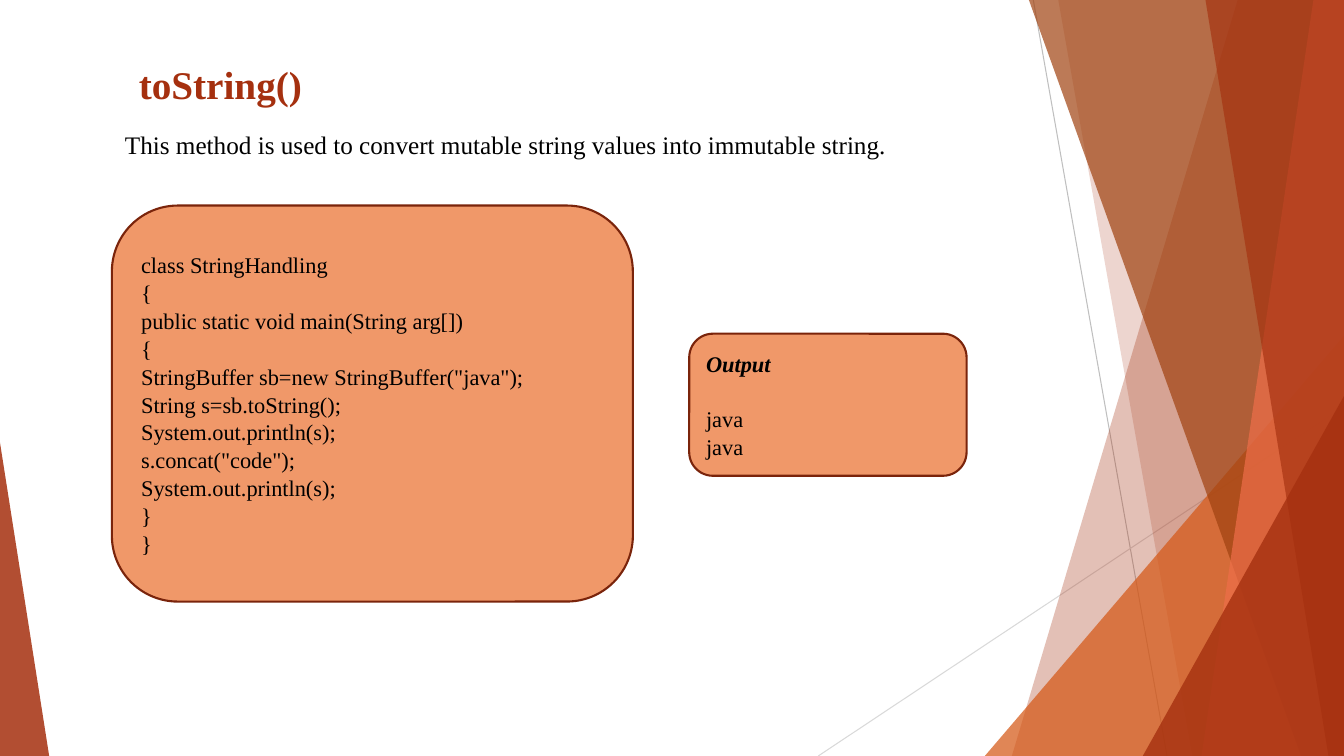
from lxml import etree
from pptx import Presentation
from pptx import util as u
from pptx.dml.color import RGBColor
from pptx.enum import shapes, text
from pptx.oxml import ns

WIDTH, HEIGHT = 33.87, 19.05
BLACK = RGBColor(0x00, 0x00, 0x00)
RUST = RGBColor(0xA5, 0x30, 0x0F)
DARK_RUST = RGBColor(0x7A, 0x24, 0x0B)
ORANGE = RGBColor(0xD5, 0x58, 0x16)
BROWN = RGBColor(0xA0, 0x42, 0x10)
CORAL = RGBColor(0xEE, 0x6E, 0x4A)
PEACH = RGBColor(0xF0, 0x98, 0x69)
GREY = RGBColor(0xBF, 0xBF, 0xBF)
LIGHT_GREY = RGBColor(0xD9, 0xD9, 0xD9)

TITLE = {"size": u.Pt(28), "bold": True}
BODY = {"size": u.Pt(18)}
CODE = {"size": u.Pt(16)}
HEADING = {"size": u.Pt(16), "bold": True, "italic": True}

PROGRAM = """class StringHandling
{
public static void main(String arg[])
{
StringBuffer sb=new StringBuffer("java");
String s=sb.toString();
System.out.println(s);
s.concat("code");
System.out.println(s);
}
}""".split("\n")


class SlideBuilder:
    """Holds the style and the current slide; lengths are centimetres."""

    font = "Times New Roman"
    line_spacing = 1.04

    def __init__(self, slide):
        """Start drawing on the given slide."""
        self.shapes = slide.shapes

    def paint(self, shape, color, opacity=100):
        """Fill a shape without outline or shadow, at a percentage of opacity."""
        shape.shadow.inherit = False
        shape.fill.solid()
        shape.fill.fore_color.rgb = color
        shape.line.fill.background()
        if opacity < 100:
            solid = shape._element.spPr.find(ns.qn("a:solidFill"))
            etree.SubElement(solid[0], ns.qn("a:alpha"), val=str(opacity * 1000))

    def ray(self, start, end, color):
        """Draw a thin straight line."""
        points = [u.Cm(value) for value in start + end]
        ray = self.shapes.add_connector(shapes.MSO_CONNECTOR.STRAIGHT, *points)
        ray.line.color.rgb = color
        ray.line.width = u.Pt(0.75)
        etree.SubElement(ray._element.spPr, ns.qn("a:effectLst"))

    def facet(self, top_x, bottom_x, color, opacity):
        """Draw a full-height band from a slanted edge to the right side."""
        corners = [(top_x, 0), (WIDTH, 0), (WIDTH, HEIGHT), (bottom_x, HEIGHT)]
        start, *others = [(u.Cm(x), u.Cm(y)) for x, y in corners]
        outline = self.shapes.build_freeform(*start)
        outline.add_line_segments(others, close=True)
        self.paint(outline.convert_to_shape(), color, opacity)

    def wedge(self, left, top, right, peak, color, opacity):
        """Draw a right triangle standing on the bottom edge."""
        wedge = self.shapes.add_shape(
            shapes.MSO_SHAPE.ISOSCELES_TRIANGLE, u.Cm(left), u.Cm(top),
            u.Cm(right - left), u.Cm(HEIGHT - top))
        wedge.adjustments[0] = peak
        self.paint(wedge, color, opacity)

    def set_lines(self, frame, lines, style, color=BLACK, heading=None):
        """Set left-aligned lines, below an optional spaced heading."""
        frame.word_wrap = True
        entries = [(line, style, 0) for line in lines]
        if heading:
            entries.insert(0, (heading, HEADING, 19))
        for index, (line, formats, gap) in enumerate(entries):
            paragraph = frame.add_paragraph() if index else frame.paragraphs[0]
            paragraph.alignment = text.PP_ALIGN.LEFT
            paragraph.line_spacing = self.line_spacing
            paragraph.space_after = u.Pt(gap)
            run = paragraph.add_run()
            run.text = line
            for name, value in {"name": self.font, **formats}.items():
                setattr(run.font, name, value)
            run.font.color.rgb = color

    def label(self, area, line, style, color=BLACK):
        """Add one line of free text."""
        box = self.shapes.add_textbox(*map(u.Cm, area))
        self.set_lines(box.text_frame, [line], style, color)

    def panel(self, area, lines, heading=None):
        """Add a rounded panel with vertically centred text."""
        panel = self.shapes.add_shape(
            shapes.MSO_SHAPE.ROUNDED_RECTANGLE, *map(u.Cm, area))
        self.paint(panel, PEACH)
        panel.line.color.rgb = DARK_RUST
        panel.line.width = u.Pt(1.5)
        panel.text_frame.vertical_anchor = text.MSO_ANCHOR.MIDDLE
        self.set_lines(panel.text_frame, lines, CODE, heading=heading)


def draw_backdrop(builder):
    """Draw the translucent facets around the content, back to front."""
    builder.ray((26.04, 0), (29.41, HEIGHT), GREY)
    builder.ray((WIDTH, 10.24), (20.62, HEIGHT), LIGHT_GREY)
    builder.facet(31.19, 25.5, RUST, 30)
    builder.facet(26.67, 30.05, RUST, 20)
    builder.wedge(24.82, 8.46, WIDTH, 1, ORANGE, 72)
    builder.facet(25.93, 32.79, BROWN, 70)
    builder.facet(33.1, 30.28, CORAL, 70)
    builder.facet(30.38, 33.48, RUST, 65)
    builder.wedge(28.8, 9.98, WIDTH, 1, RUST, 80)
    builder.wedge(0, 11.15, 1.24, 0, RUST, 85)


def main():
    """Build and save the presentation."""
    deck = Presentation()
    deck.slide_width, deck.slide_height = u.Cm(WIDTH), u.Cm(HEIGHT)
    builder = SlideBuilder(deck.slides.add_slide(deck.slide_layouts[6]))
    draw_backdrop(builder)
    builder.label((3.25, 1.35, 18.85, 1.27), "toString()", TITLE, RUST)
    builder.label(
        (2.9, 3.1, 23.88, 1),
        "This method is used to convert mutable string values into immutable string.",
        BODY)
    builder.panel((2.82, 5.18, 13.13, 9.98), PROGRAM)
    builder.panel((17.37, 8.41, 6.99, 3.58), ["java", "java"], "Output")
    deck.save("out.pptx")


main()
